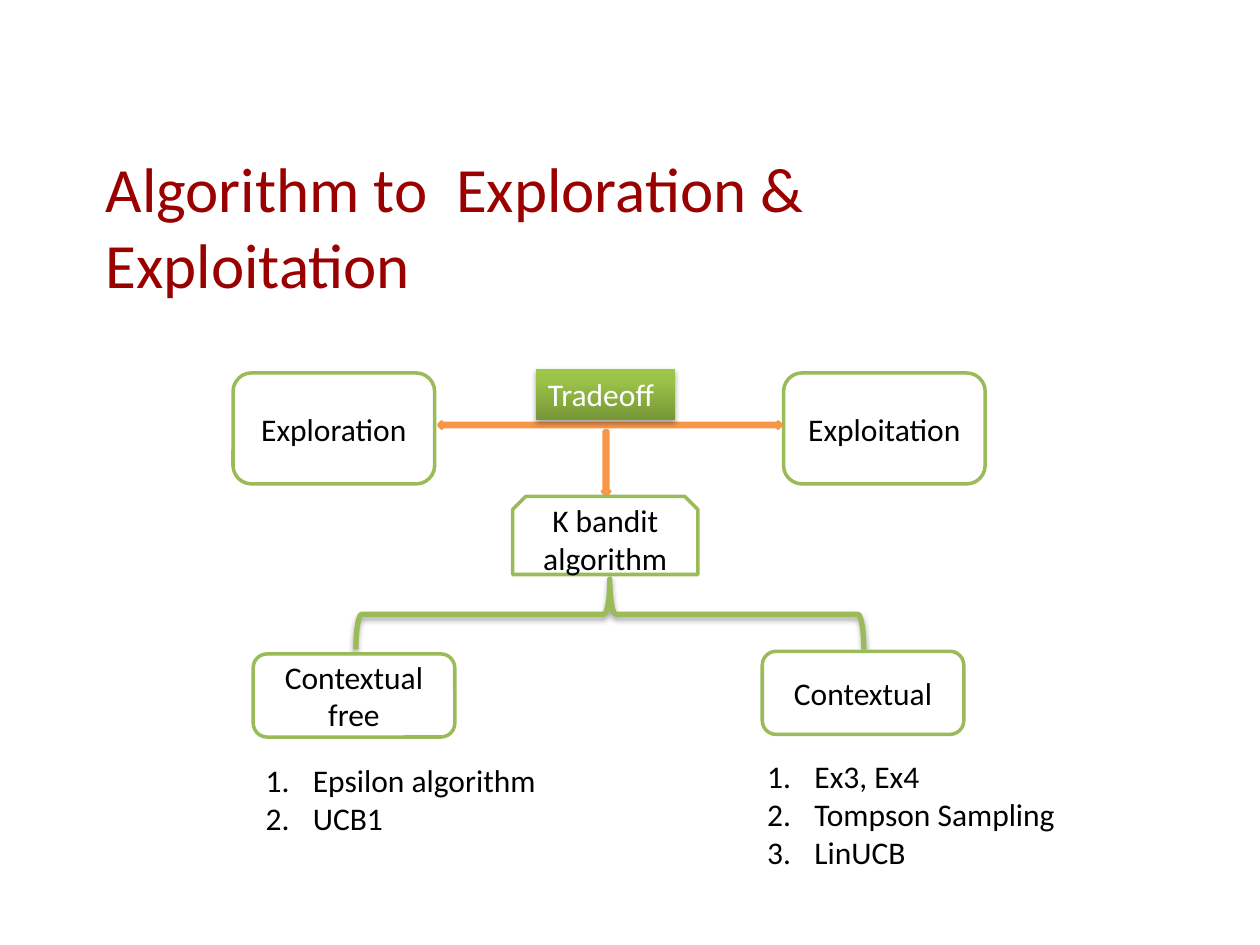
import copy

import lxml.etree
import pptx
import pptx.dml.color
import pptx.enum.shapes
import pptx.enum.text
import pptx.oxml.ns
import pptx.util

Pt = pptx.util.Pt
RGBColor = pptx.dml.color.RGBColor
KIND = pptx.enum.shapes.MSO_SHAPE
ALIGN = pptx.enum.text.PP_ALIGN
ANCHOR = pptx.enum.text.MSO_ANCHOR
qn = pptx.oxml.ns.qn

RED = RGBColor(0x9A, 0x00, 0x00)
GREEN = RGBColor(0x9B, 0xBB, 0x59)
ORANGE = RGBColor(0xF7, 0x96, 0x46)
BLACK = RGBColor(0, 0, 0)
WHITE = RGBColor(255, 255, 255)
SHADES = [
    (0, RGBColor(0x77, 0x97, 0x37)),
    (0.8, RGBColor(0x9B, 0xC3, 0x48)),
    (1, RGBColor(0x9D, 0xC7, 0x46)),
]


def style(par, size, color):
    """Set the font of a paragraph."""
    for run in par.runs:
        run.font.name = "Calibri"
        run.font.size = Pt(size)
        run.font.color.rgb = color


def block(slide, kind, box, color, text="", width=2):
    """Add an outlined white shape with centred text."""
    shape = slide.shapes.add_shape(kind, *map(Pt, box))
    shape.shadow.inherit = False
    shape.fill.solid()
    shape.fill.fore_color.rgb = WHITE
    shape.line.color.rgb = color
    shape.line.width = Pt(width)
    if text:
        frame = shape.text_frame
        frame.text = text
        frame.word_wrap = True
        frame.vertical_anchor = ANCHOR.MIDDLE
        frame.paragraphs[0].alignment = ALIGN.CENTER
        style(frame.paragraphs[0], 18, BLACK)
    return shape


def shade(shape):
    """Give a shape a soft shadow below it."""
    effect = shape._element.spPr.find(qn("a:effectLst"))
    outer = lxml.etree.SubElement(
        effect, qn("a:outerShdw"), blurRad=str(Pt(3.1)),
        dist=str(Pt(1.8)), dir="5400000", rotWithShape="0")
    color = lxml.etree.SubElement(outer, qn("a:srgbClr"), val="000000")
    lxml.etree.SubElement(color, qn("a:alpha"), val="35000")


def title(slide, box, text):
    """Add the slide title."""
    frame = slide.shapes.add_textbox(*map(Pt, box)).text_frame
    frame.word_wrap = True
    frame.text = text
    style(frame.paragraphs[0], 36, RED)


def badge(slide, box, text):
    """Add the gradient label with its shadow."""
    shape = block(slide, KIND.RECTANGLE, box, GREEN, text)
    shape.line.fill.background()
    shape.fill.gradient()
    shape.fill.gradient_angle = 90
    stops = shape._element.spPr.find(".//" + qn("a:gsLst"))
    stops.insert(1, copy.deepcopy(stops[0]))
    for stop, (place, color) in zip(shape.fill.gradient_stops, SHADES):
        stop.position = place
        stop.color.rgb = color
    shade(shape)
    frame = shape.text_frame
    frame.vertical_anchor = ANCHOR.TOP
    frame.paragraphs[0].alignment = ALIGN.LEFT
    style(frame.paragraphs[0], 18, WHITE)


def tradeoff(slide, box):
    """Add the two goals, the arrows between them and the method."""
    left, top, width, height = box
    side = 115.2
    for x, text in ((left, "Exploration"),
                    (left + width - side, "Exploitation")):
        block(slide, KIND.FLOWCHART_ALTERNATE_PROCESS,
              (x, top, side, 63.4), GREEN, text)
    block(slide, KIND.LEFT_RIGHT_ARROW,
          (left + 117.4, top + 28, 195.8, 3.6), ORANGE)
    block(slide, KIND.DOWN_ARROW,
          (left + 211, top + 33.1, 4.3, 36.7), ORANGE)
    badge(slide, (left + 172.8, top - 2.2, 79.9, 29), "Tradeoff")
    block(slide, KIND.SNIP_2_SAME_RECTANGLE,
          (left + 159.8, top + height - 44.6, 105.8, 44.6), GREEN,
          "K bandit algorithm")


def brace(slide, box):
    """Add a brace that opens downwards and fills the box."""
    left, top, width, height = box
    shift = (width - height) / 2
    shape = block(slide, KIND.RIGHT_BRACE,
                  (left + shift, top - shift, height, width), GREEN, width=3)
    shape.fill.background()
    shape.rotation = 270
    shade(shape)


def steps(slide, box, items):
    """Add a numbered list."""
    frame = slide.shapes.add_textbox(*map(Pt, box)).text_frame
    frame.word_wrap = True
    frame.text = "\n".join(items)
    for par in frame.paragraphs:
        props = par._p.get_or_add_pPr()
        props.set("marL", str(Pt(27)))
        props.set("indent", str(Pt(-27)))
        lxml.etree.SubElement(props, qn("a:buFont"), typeface="+mj-lt")
        lxml.etree.SubElement(props, qn("a:buAutoNum"), type="arabicPeriod")
        style(par, 18, BLACK)


def main():
    """Build the slide and save it."""
    deck = pptx.Presentation()
    deck.slide_width, deck.slide_height = Pt(720), Pt(540)
    slide = deck.slides.add_slide(deck.slide_layouts[6])
    title(slide, (53.3, 82.1, 571.7, 94.3),
          "Algorithm to  Exploration & Exploitation")
    tradeoff(slide, (133.2, 213.1, 429.8, 115.2))
    brace(slide, (203.4, 330.8, 290.2, 40.3))
    for x, y, text in ((144.7, 373.7, "Contextual free"),
                       (435.6, 372.2, "Contextual")):
        block(slide, KIND.FLOWCHART_ALTERNATE_PROCESS,
              (x, y, 115.2, 47.5), GREEN, text)
    steps(slide, (144.7, 431.3, 192.2, 51.1), ["Epsilon algorithm", "UCB1"])
    steps(slide, (431.3, 429.1, 192.2, 72.7),
          ["Ex3, Ex4", "Tompson Sampling", "LinUCB"])
    deck.save("out.pptx")


if __name__ == "__main__":
    main()
